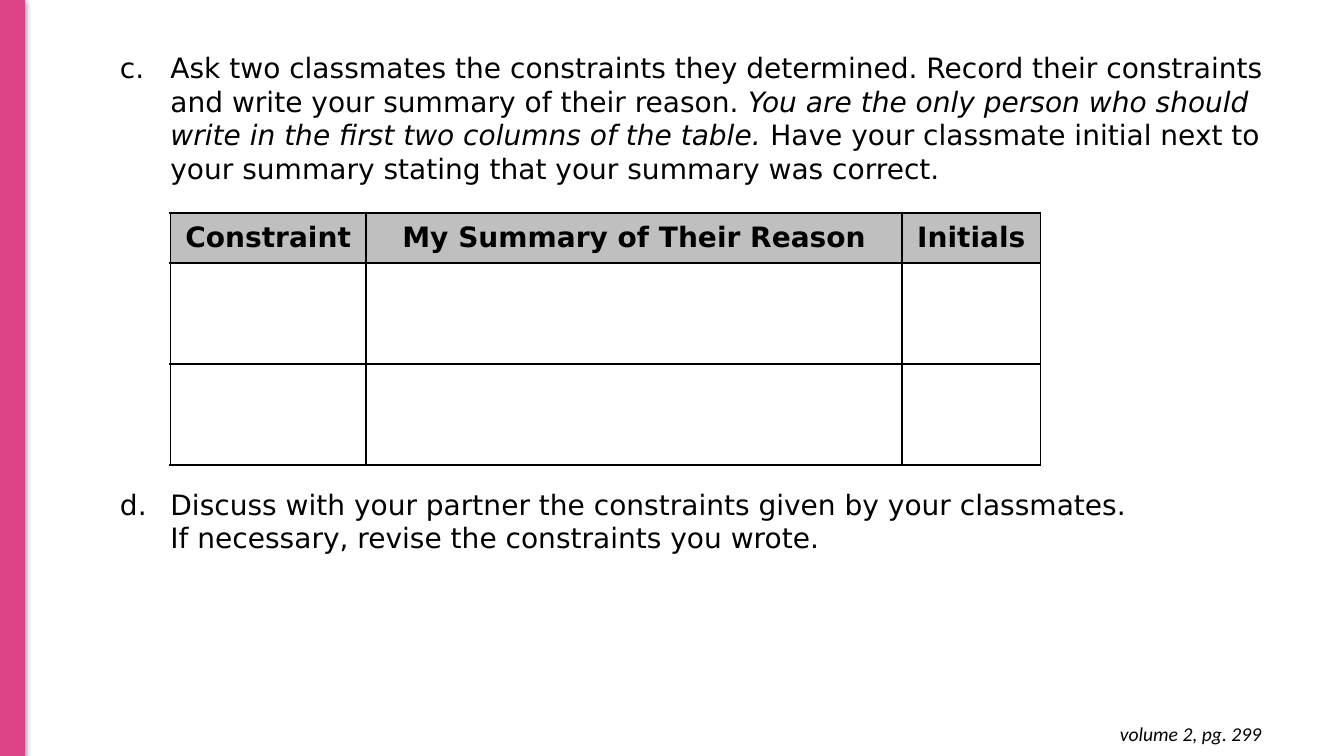
from lxml import etree
from pptx import Presentation
from pptx import util as u
from pptx.dml.color import RGBColor
from pptx.enum import shapes, text
from pptx.oxml import ns

BODY_FONT = "DejaVu Sans"
BLACK, PINK, GREY = "000000", "DA4487", "BFBFBF"

# Each step: space before in points, then lines of (words, italic) runs
STEPS = [
    (0, [[
        ("Ask two classmates the constraints they determined. Record their "
         "constraints and write your summary of their reason. ", False),
        ("You are the only person who should write in the first two columns "
         "of the table.", True),
        (" Have your classmate initial next to your summary stating that "
         "your summary was correct.", False),
    ]]),
    (216, [
        [("Discuss with your partner the constraints given by your classmates. ", False)],
        [("If necessary, revise the constraints you wrote.", False)],
    ]),
]
FIRST_LETTER = 3
COLUMNS = [("Constraint", 1.94), ("My Summary of Their Reason", 5.32), ("Initials", 1.37)]
ROW_HEIGHTS = [0.5, 1, 1]
PAGE_REFERENCE = "volume 2, pg. 299"


def color(value):
    return RGBColor.from_string(value)


def place(shape, left, top, width, height):
    shape.left, shape.top = u.Inches(left), u.Inches(top)
    shape.width, shape.height = u.Inches(width), u.Inches(height)


def add_element(parent, tag, **attributes):
    return etree.SubElement(parent, ns.qn(tag), {k: str(v) for k, v in attributes.items()})


def add_run(paragraph, words, size, font=BODY_FONT, bold=False, italic=False):
    run = paragraph.add_run()
    run.text = words
    run.font.name, run.font.size = font, u.Pt(size)
    run.font.bold, run.font.italic = bold, italic
    run.font.color.rgb = color(BLACK)


def letter_paragraph(paragraph):
    """Give the paragraph a hanging lettered bullet."""
    properties = paragraph._p.get_or_add_pPr()
    properties.set("marL", str(u.Inches(1)))
    properties.set("indent", str(-u.Inches(0.5)))
    bullet_color = add_element(properties, "a:buClr")
    add_element(bullet_color, "a:srgbClr", val=BLACK)
    add_element(properties, "a:buFont", typeface=BODY_FONT)
    add_element(properties, "a:buAutoNum", type="alphaLcPeriod", startAt=FIRST_LETTER)


def add_steps(slide):
    body = slide.placeholders[1]
    place(body, 0.59, 0.45, 12.05, 5.15)
    frame = body.text_frame
    frame.word_wrap = True
    frame.auto_size = text.MSO_AUTO_SIZE.NONE
    for index, (space, lines) in enumerate(STEPS):
        paragraph = frame.add_paragraph() if index else frame.paragraphs[0]
        letter_paragraph(paragraph)
        paragraph.alignment = text.PP_ALIGN.LEFT
        paragraph.space_before = u.Pt(space)
        paragraph.font.size = u.Pt(20)
        for number, line in enumerate(lines):
            if number:
                paragraph.add_line_break()
            for words, italic in line:
                add_run(paragraph, words, 20, italic=italic)


def add_side_bar(slide):
    bar = slide.shapes.add_shape(shapes.MSO_SHAPE.RECTANGLE, 0, 0, 0, 0)
    place(bar, 0, 0, 0.24, 7.5)
    bar.fill.solid()
    bar.fill.fore_color.rgb = color(PINK)
    bar.line.color.rgb = color(PINK)
    bar.line.width = u.Pt(0.75)
    bar.shadow.inherit = False
    effects = bar._element.spPr.find(ns.qn("a:effectLst"))
    shadow = add_element(effects, "a:outerShdw", blurRad=u.Pt(4.5), dist=u.Pt(1.5),
                         dir=90 * 60000, rotWithShape=0)
    shade = add_element(shadow, "a:srgbClr", val=BLACK)
    add_element(shade, "a:alpha", val=50000)


def add_page_reference(slide):
    box = slide.shapes.add_textbox(0, 0, 0, 0)
    place(box, 9.73, 7.06, 2.88, 0.44)
    frame = box.text_frame
    frame.word_wrap = True
    frame.margin_left = frame.margin_right = u.Inches(0.1)
    frame.margin_top = frame.margin_bottom = u.Inches(0.1)
    paragraph = frame.paragraphs[0]
    paragraph.alignment = text.PP_ALIGN.RIGHT
    add_run(paragraph, PAGE_REFERENCE, 14, font="Calibri", italic=True)


def add_borders(cell):
    properties = cell._tc.get_or_add_tcPr()
    for side in "LRTB":
        border = add_element(properties, f"a:ln{side}", w=u.Pt(1.5))
        fill = add_element(border, "a:solidFill")
        add_element(fill, "a:srgbClr", val=BLACK)


def add_summary_table(slide):
    width = sum(column_width for _, column_width in COLUMNS)
    table = slide.shapes.add_table(
        len(ROW_HEIGHTS), len(COLUMNS), u.Inches(1.69), u.Inches(2.11),
        u.Inches(width), u.Inches(sum(ROW_HEIGHTS))).table
    table.first_row = table.horz_banding = False
    for row, height in zip(table.rows, ROW_HEIGHTS):
        row.height = u.Inches(height)
    for column, (_, column_width) in zip(table.columns, COLUMNS):
        column.width = u.Inches(column_width)
    for cell in table.iter_cells():
        add_borders(cell)
        cell.fill.background()
    for cell, (heading, _) in zip(table.rows[0].cells, COLUMNS):
        cell.fill.solid()
        cell.fill.fore_color.rgb = color(GREY)
        cell.vertical_anchor = text.MSO_ANCHOR.MIDDLE
        cell.margin_left = cell.margin_right = u.Inches(0.06)
        cell.margin_top = cell.margin_bottom = 0
        paragraph = cell.text_frame.paragraphs[0]
        paragraph.alignment = text.PP_ALIGN.CENTER
        add_run(paragraph, heading, 20, bold=True)


def main():
    presentation = Presentation()
    presentation.slide_width = u.Inches(13.33)
    presentation.slide_height = u.Inches(7.5)
    slide = presentation.slides.add_slide(presentation.slide_layouts[1])
    title = slide.shapes.title._element
    title.getparent().remove(title)
    add_steps(slide)
    add_side_bar(slide)
    add_page_reference(slide)
    add_summary_table(slide)
    presentation.save("out.pptx")


if __name__ == "__main__":
    main()
